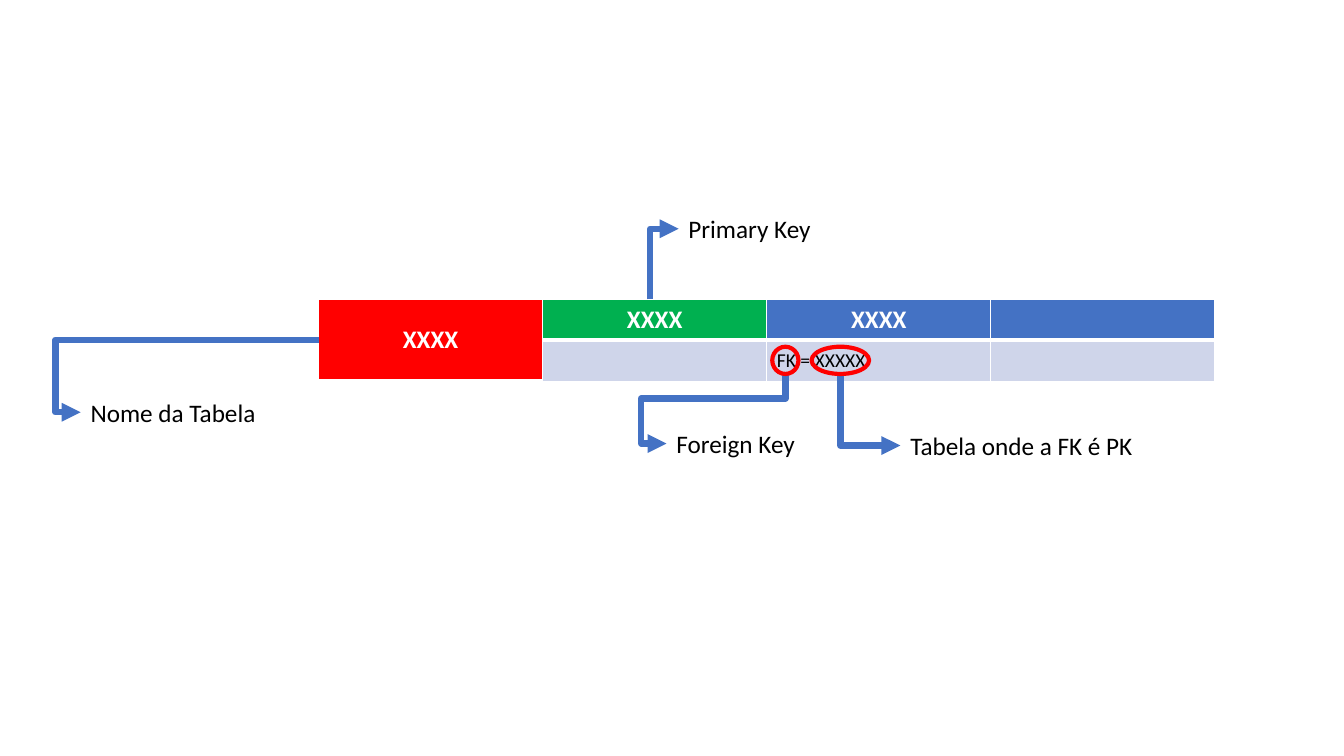
from dataclasses import dataclass

from lxml.etree import SubElement
from pptx import Presentation
from pptx.dml.color import RGBColor
from pptx.enum.shapes import MSO_CONNECTOR, MSO_SHAPE
from pptx.enum.text import MSO_ANCHOR, MSO_AUTO_SIZE, PP_ALIGN
from pptx.oxml.ns import qn
from pptx.util import Pt

PX = 9144


@dataclass(frozen=True)
class Theme:
    """Colours, font and type sizes of the slide."""
    white: str = "FFFFFF"
    black: str = "000000"
    red: str = "FF0000"
    green: str = "00B050"
    blue: str = "4472C4"
    pale: str = "CFD5EA"
    font: str = "Calibri"
    label: int = 18
    body: int = 14
    arrow: float = 4.5
    ring: int = 3


@dataclass(frozen=True)
class Box:
    """A rectangle in px."""
    left: int
    top: int
    width: int
    height: int

    def emu(self):
        """Return the four lengths in EMU."""
        return [length * PX for length in (self.left, self.top, self.width, self.height)]

    def at(self, across, down):
        """Return the point at the given fractions of the box."""
        return self.left + self.width * across, self.top + self.height * down

    def inner(self, left, top, width, height):
        """Return a box placed relative to this one."""
        return Box(self.left + left, self.top + top, width, height)


THEME = Theme()


def write(frame, text, size=THEME.label, color=THEME.black, bold=False, align=PP_ALIGN.LEFT):
    """Put one formatted paragraph in a text frame."""
    paragraph = frame.paragraphs[0]
    paragraph.alignment = align
    paragraph.font.size = Pt(size)
    if text:
        run = paragraph.add_run()
        run.text = text
        run.font.name = THEME.font
        run.font.size = Pt(size)
        run.font.bold = bold
        run.font.color.rgb = RGBColor.from_string(color)


def set_borders(cell, widths):
    """Draw white borders, given as side letters and point widths."""
    properties = cell._tc.get_or_add_tcPr()
    for side, width in widths.items():
        line = SubElement(properties, qn(f"a:ln{side}"), w=str(Pt(width)))
        SubElement(SubElement(line, qn("a:solidFill")), qn("a:srgbClr"), val=THEME.white)


def schema_table(slide, box):
    """Draw the table whose first column names it."""
    rows = [
        [("XXXX", THEME.red), ("XXXX", THEME.green), ("XXXX", THEME.blue), ("", THEME.blue)],
        [None, ("", THEME.pale), ("FK = XXXXX", THEME.pale), ("", THEME.pale)],
    ]
    table = slide.shapes.add_table(len(rows), len(rows[0]), *box.emu()).table
    table.cell(0, 0).merge(table.cell(1, 0))
    header = dict(size=THEME.label, color=THEME.white, bold=True, align=PP_ALIGN.CENTER)
    formats = [header, dict(size=THEME.body)]
    borders = [{"L": 1, "R": 1, "T": 1, "B": 3}, {"L": 1, "R": 1, "B": 1}]
    for row_index, row in enumerate(rows):
        for column_index, content in enumerate(row):
            if content is None:
                continue
            text, fill = content
            cell = table.cell(row_index, column_index)
            set_borders(cell, borders[row_index])
            cell.fill.solid()
            cell.fill.fore_color.rgb = RGBColor.from_string(fill)
            cell.vertical_anchor = MSO_ANCHOR.MIDDLE
            write(cell.text_frame, text, **formats[row_index])


def elbow_arrow(slide, start, end, preset, adjustments, vertical_first):
    """Draw a bent arrow, turned a quarter when it leaves vertically."""
    if vertical_first:
        middle_x, middle_y = (start[0] + end[0]) / 2, (start[1] + end[1]) / 2
        half_x, half_y = (end[1] - start[1]) / 2, (start[0] - end[0]) / 2
        start = middle_x - half_x, middle_y - half_y
        end = middle_x + half_x, middle_y + half_y
    points = [round(length * PX) for length in (*start, *end)]
    connector = slide.shapes.add_connector(MSO_CONNECTOR.ELBOW, *points)
    connector.line.color.rgb = RGBColor.from_string(THEME.blue)
    connector.line.width = Pt(THEME.arrow)
    properties = connector._element.spPr
    if vertical_first:
        properties.find(qn("a:xfrm")).set("rot", "5400000")
    geometry = properties.find(qn("a:prstGeom"))
    geometry.set("prst", preset)
    guides = geometry.find(qn("a:avLst"))
    for number, percent in enumerate(adjustments, 1):
        name = f"adj{number}" if len(adjustments) > 1 else "adj1"
        SubElement(guides, qn("a:gd"), name=name, fmla=f"val {round(percent * 1000)}")
    SubElement(properties.find(qn("a:ln")), qn("a:tailEnd"), type="triangle")
    SubElement(properties, qn("a:effectLst"))


def callout(slide, box, text, start, preset, adjustments=(), vertical_first=True):
    """Place a label and the arrow that reaches its left side."""
    frame = slide.shapes.add_textbox(*box.emu()).text_frame
    frame.word_wrap = False
    frame.auto_size = MSO_AUTO_SIZE.SHAPE_TO_FIT_TEXT
    write(frame, text)
    elbow_arrow(slide, start, box.at(0, 0.5), preset, adjustments, vertical_first)


def ring(slide, box):
    """Circle a part of a cell."""
    shape = slide.shapes.add_shape(MSO_SHAPE.OVAL, *box.emu())
    shape.shadow.inherit = False
    shape.fill.background()
    shape.line.color.rgb = RGBColor.from_string(THEME.red)
    shape.line.width = Pt(THEME.ring)


def key_diagram(slide, box):
    """Draw the table with its callouts and rings."""
    key_ring = box.inner(450, 47, 26, 27)
    source_ring = box.inner(489, 47, 57, 27)
    schema_table(slide, box)
    callout(slide, box.inner(-236, 92, 186, 40), "Nome da Tabela", box.at(0, 0.5),
            "bentConnector3", [110.6], vertical_first=False)
    callout(slide, box.inner(357, -90, 143, 40), "Primary Key", box.at(0.37, 0),
            "bentConnector2")
    callout(slide, box.inner(345, 123, 139, 40), "Foreign Key", key_ring.at(0.5, 1),
            "bentConnector4", [35.3, 121.3])
    callout(slide, box.inner(577, 125, 243, 40), "Tabela onde a FK é PK",
            source_ring.at(0.5, 1), "bentConnector2")
    for ring_box in (key_ring, source_ring):
        ring(slide, ring_box)


def main():
    """Build and save the presentation."""
    presentation = Presentation()
    presentation.slide_width = 1333 * PX
    presentation.slide_height = 750 * PX
    slide = presentation.slides.add_slide(presentation.slide_layouts[6])
    key_diagram(slide, Box(316, 297, 889, 80))
    presentation.save("out.pptx")


if __name__ == "__main__":
    main()
